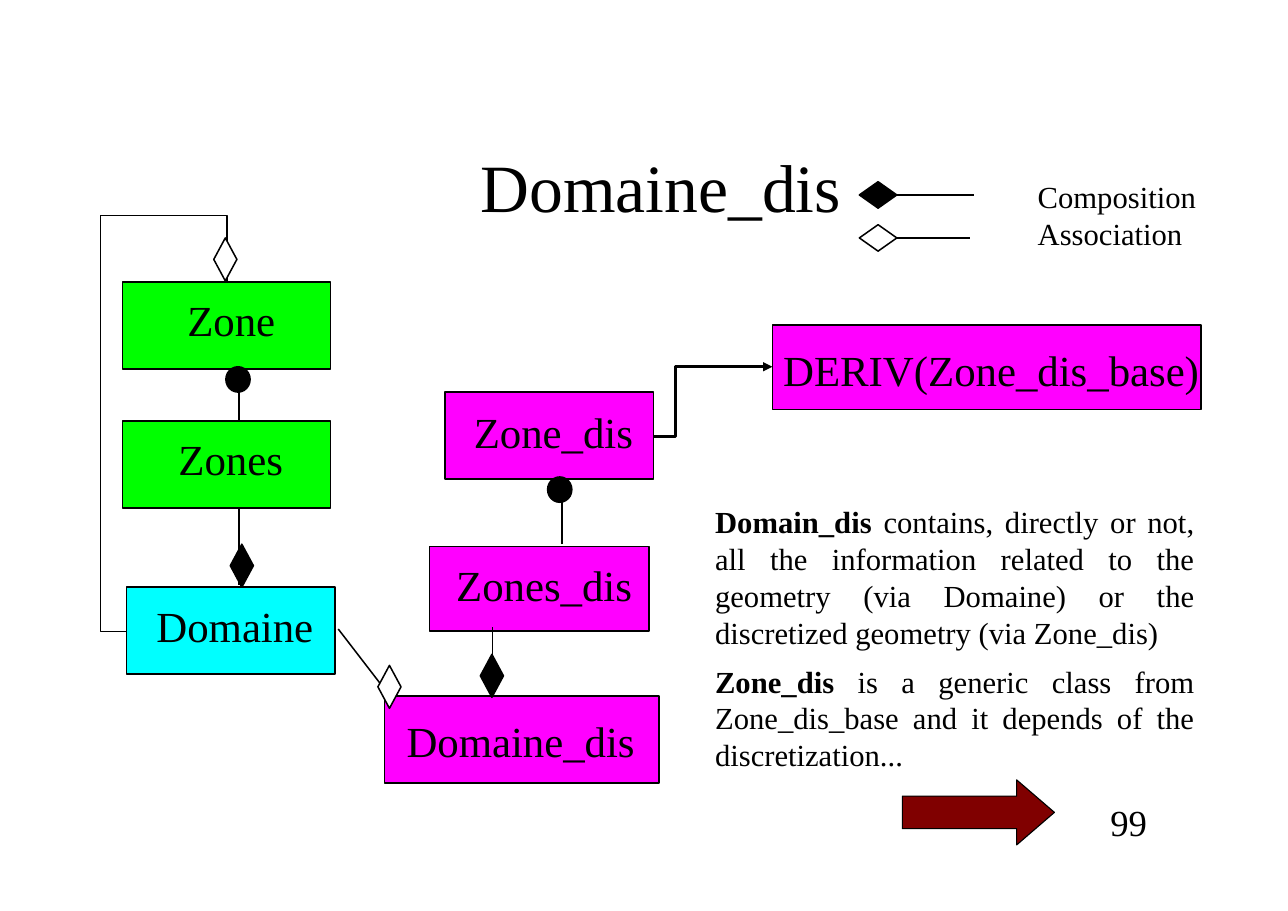
from lxml import etree
from pptx import Presentation
from pptx.dml.color import RGBColor
from pptx.enum.shapes import MSO_CONNECTOR, MSO_SHAPE
from pptx.enum.text import MSO_ANCHOR, PP_ALIGN
from pptx.oxml.ns import qn
from pptx.util import Inches, Pt

BLACK = RGBColor(0x00, 0x00, 0x00)
WHITE = RGBColor(0xFF, 0xFF, 0xFF)
GREEN = RGBColor(0x00, 0xFF, 0x00)
CYAN = RGBColor(0x00, 0xFF, 0xFF)
MAGENTA = RGBColor(0xFF, 0x00, 0xFF)
MAROON = RGBColor(0x80, 0x00, 0x00)
RECTANGLE, DIAMOND, OVAL = MSO_SHAPE.RECTANGLE, MSO_SHAPE.DIAMOND, MSO_SHAPE.OVAL
RIGHT_ARROW = MSO_SHAPE.RIGHT_ARROW
STRAIGHT, ELBOW = MSO_CONNECTOR.STRAIGHT, MSO_CONNECTOR.ELBOW
TOP, MIDDLE = MSO_ANCHOR.TOP, MSO_ANCHOR.MIDDLE
LEFT, CENTER, RIGHT, JUSTIFY = (
    PP_ALIGN.LEFT, PP_ALIGN.CENTER, PP_ALIGN.RIGHT, PP_ALIGN.JUSTIFY)
FONT = "Times New Roman"
DIAMOND_WIDTH, DIAMOND_HEIGHT = 0.21, 0.39
KEY_WIDTH, KEY_HEIGHT = 0.34, 0.24
DOT_WIDTH, DOT_HEIGHT = 0.22, 0.23

# name, left, top, width, height, fill, label indent, label drop
CLASS_BOXES = [
    ("Domaine_dis", 3.49, 6.32, 2.49, 0.79, MAGENTA, 0.2, 0.17),
    ("Domaine", 1.15, 5.33, 1.89, 0.79, CYAN, 0.27, 0.11),
    ("Zones_dis", 3.9, 4.96, 1.99, 0.77, MAGENTA, 0.24, 0.11),
    ("Zones", 1.11, 3.82, 1.89, 0.79, GREEN, 0.51, 0.11),
    ("Zone", 1.11, 2.56, 1.89, 0.79, GREEN, 0.59, 0.11),
    ("Zone_dis", 4.04, 3.56, 1.89, 0.79, MAGENTA, 0.26, 0.12),
    ("DERIV(Zone_dis_base)", 7.01, 2.95, 3.89, 0.77, MAGENTA, 0.1, 0.17),
]
LINKS = [
    (4.47, 6.28, 4.47, 5.69),
    (2.17, 5.31, 2.17, 4.61),
    (2.17, 3.82, 2.17, 3.43),
    (5.1, 4.94, 5.1, 4.55),
    (8.08, 1.77, 8.84, 1.77),
    (7.83, 2.16, 8.8, 2.16),
]
MARKERS = [
    (DIAMOND, 4.36, 5.94, DIAMOND_WIDTH, DIAMOND_HEIGHT, BLACK),
    (DIAMOND, 2.09, 4.94, DIAMOND_WIDTH, DIAMOND_HEIGHT, BLACK),
    (DIAMOND, 1.94, 2.16, DIAMOND_WIDTH, DIAMOND_HEIGHT, WHITE),
    (DIAMOND, 3.43, 6.04, DIAMOND_WIDTH, DIAMOND_HEIGHT, WHITE),
    (DIAMOND, 7.8, 1.65, KEY_WIDTH, KEY_HEIGHT, BLACK),
    (DIAMOND, 7.8, 2.04, KEY_WIDTH, KEY_HEIGHT, WHITE),
    (OVAL, 2.05, 3.33, DOT_WIDTH, DOT_HEIGHT, BLACK),
    (OVAL, 4.97, 4.33, DOT_WIDTH, DOT_HEIGHT, BLACK),
]
LOOP = [(2.06, 2.56), (2.06, 1.96), (0.91, 1.96), (0.91, 5.73), (1.15, 5.73)]
EXPLANATION = [
    [("Domain_dis", True),
     (" contains, directly or not, all the information related to the geometry "
      "(via Domaine) or the discretized geometry (via Zone_dis)", False)],
    [("Zone_dis", True),
     (" is a generic class from Zone_dis_base and it depends of the "
      "discretization...", False)],
]


def write_text(shape, paragraphs, size=28, align=LEFT, anchor=TOP,
               margins=(0.1, 0.05, 0.1, 0.05), gap=0):
    """Write paragraphs, each a list of (text, bold) runs, into a shape."""
    frame = shape.text_frame
    frame.word_wrap = True
    frame.vertical_anchor = anchor
    (frame.margin_left, frame.margin_top,
     frame.margin_right, frame.margin_bottom) = map(Inches, margins)
    for index, runs in enumerate(paragraphs):
        paragraph = frame.add_paragraph() if index else frame.paragraphs[0]
        paragraph.alignment = align
        if index:
            paragraph.space_before = Pt(gap)
        for text, bold in runs:
            run = paragraph.add_run()
            run.text = text
            run.font.name = FONT
            run.font.size = Pt(size)
            run.font.bold = bold
            run.font.color.rgb = BLACK


def add_text(slide, left, top, width, height, paragraphs, **text_format):
    """Add a text box."""
    box = slide.shapes.add_textbox(*map(Inches, (left, top, width, height)))
    write_text(box, paragraphs, **text_format)


def add_filled_shape(slide, kind, left, top, width, height, fill, line_width=1):
    """Add a filled preset shape with a black outline."""
    shape = slide.shapes.add_shape(kind, *map(Inches, (left, top, width, height)))
    shape.shadow.inherit = False
    shape.fill.solid()
    shape.fill.fore_color.rgb = fill
    shape.line.color.rgb = BLACK
    shape.line.width = Pt(line_width)
    return shape


def add_class_box(slide, name, left, top, width, height, fill, indent, drop):
    """Add a class rectangle with its name."""
    box = add_filled_shape(slide, RECTANGLE, left, top, width, height, fill)
    write_text(box, [[(name, False)]], margins=(indent, drop, 0, 0))


def add_link(slide, start_x, start_y, end_x, end_y, kind=STRAIGHT, line_width=1):
    """Add a black connector without shadow."""
    link = slide.shapes.add_connector(
        kind, *map(Inches, (start_x, start_y, end_x, end_y)))
    link.line.color.rgb = BLACK
    link.line.width = Pt(line_width)
    etree.SubElement(link._element.spPr, qn("a:effectLst"))
    return link


def add_elbow_arrow(slide, start_x, start_y, end_x, end_y, bend):
    """Add a thin elbow arrow that turns at the given share of its width."""
    arrow = add_link(slide, start_x, start_y, end_x, end_y, ELBOW, 0)
    properties = arrow._element.spPr
    guides = properties.find(qn("a:prstGeom")).get_or_add_avLst()
    etree.SubElement(guides, qn("a:gd"), name="adj1",
                     fmla=f"val {round(bend * 100000)}")
    etree.SubElement(properties.find(qn("a:ln")), qn("a:tailEnd"), type="triangle")


def add_path(slide, points):
    """Add a thin open line through the points."""
    (start_x, start_y), *others = [(Inches(x), Inches(y)) for x, y in points]
    builder = slide.shapes.build_freeform(start_x, start_y)
    builder.add_line_segments(others, close=False)
    path_shape = builder.convert_to_shape()
    path_shape.shadow.inherit = False
    path_shape.fill.background()
    path_shape.line.color.rgb = BLACK
    path_shape.line.width = Pt(0)


def main():
    """Build the Domaine_dis class diagram slide."""
    presentation = Presentation()
    presentation.slide_width = Inches(11.69)
    presentation.slide_height = Inches(8.27)
    slide = presentation.slides.add_slide(presentation.slide_layouts[6])

    add_link(slide, 3.84, 6.71, 3.07, 5.71)
    add_text(slide, 1.5, 0.85, 9, 1.67, [[("Domaine_dis", False)]],
             size=44.2, align=CENTER, anchor=MIDDLE)
    for class_box in CLASS_BOXES:
        add_class_box(slide, *class_box)
    add_path(slide, LOOP)
    add_elbow_arrow(slide, 5.93, 3.96, 7.01, 3.33, bend=0.19)
    for link in LINKS:
        add_link(slide, *link)
    for marker in MARKERS:
        add_filled_shape(slide, *marker)

    add_text(slide, 9.32, 1.57, 1.64, 0.77,
             [[("Composition", False)], [("Association", False)]], size=20)
    add_text(slide, 6.02, 4.52, 4.92, 2.36, EXPLANATION, size=20, align=JUSTIFY,
             margins=(0.47, 0.05, 0.1, 0.05), gap=8)
    arrow = add_filled_shape(slide, RIGHT_ARROW, 8.19, 7.08, 1.38, 0.59, MAROON, 0)
    arrow.adjustments[1] = 0.58
    add_text(slide, 9.68, 7.21, 0.83, 0.5, [[("99", False)]],
             size=24, align=RIGHT, anchor=MIDDLE)


    presentation.save("out.pptx")


if __name__ == "__main__":
    main()
